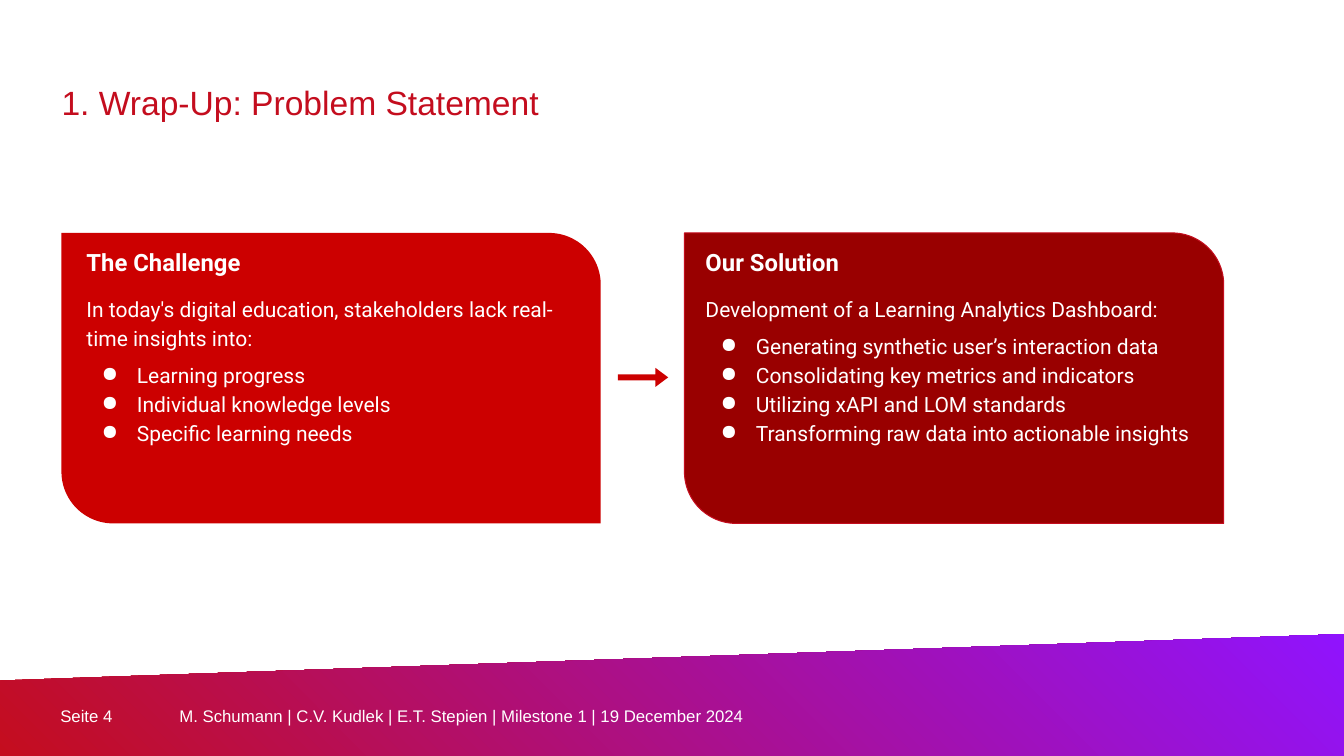
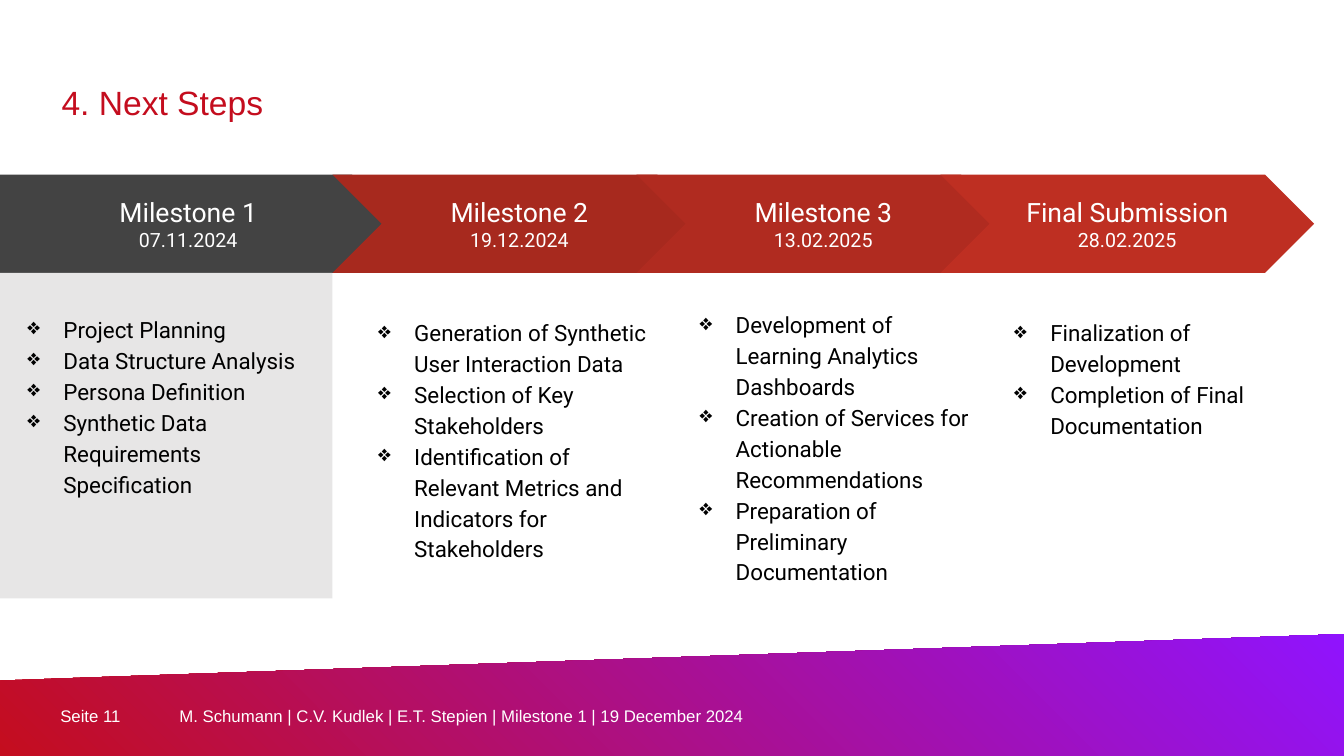
from lxml import etree
from pptx import Presentation
from pptx.dml.color import RGBColor
from pptx.enum.shapes import MSO_SHAPE
from pptx.enum.text import MSO_ANCHOR, MSO_AUTO_SIZE, PP_ALIGN
from pptx.oxml.ns import qn
from pptx.util import Cm, Pt

TOP, MIDDLE, BOTTOM = MSO_ANCHOR.TOP, MSO_ANCHOR.MIDDLE, MSO_ANCHOR.BOTTOM
LEFT, CENTER = PP_ALIGN.LEFT, PP_ALIGN.CENTER
NO_AUTOSIZE = MSO_AUTO_SIZE.NONE
RECTANGLE, ARROW = MSO_SHAPE.RECTANGLE, MSO_SHAPE.RIGHT_ARROW
CARD = MSO_SHAPE.ROUND_2_DIAG_RECTANGLE
PENTAGON, CHEVRON = MSO_SHAPE.PENTAGON, MSO_SHAPE.CHEVRON

COLORS = {
    "white": "FFFFFF", "black": "000000", "title": "C40D1E", "violet": "9013FE",
    "challenge": "CC0000", "solution": "990000", "done": "434343", "panel": "E7E6E6",
    "next": "A7291E", "later": "B02B20", "final": "BE2F22",
}
HEADING_FONT, BODY_FONT = "Arial", "Roboto"
SLIDE_WIDTH, SLIDE_HEIGHT = 33.87, 19.05
TITLE_ONLY = 5
INSET = 0.33
FOOTER = "M. Schumann | C.V. Kudlek | E.T. Stepien | Milestone 1 | 19 December 2024"

CARDS = [
    {"left": 1.55, "indent": 0.3, "fill": "challenge", "line": None,
     "heading": "The Challenge",
     "intro": "In today's digital education, stakeholders lack real-time insights into:",
     "items": ["Learning progress", "Individual knowledge levels", "Specific learning needs"]},
    {"left": 17.25, "indent": 0.2, "fill": "solution", "line": "title",
     "heading": "Our Solution",
     "intro": "Development of a Learning Analytics Dashboard:",
     "items": ["Generating synthetic user’s interaction data",
               "Consolidating key metrics and indicators",
               "Utilizing xAPI and LOM standards",
               "Transforming raw data into actionable insights"]},
]

MILESTONES = [
    {"name": "Milestone 2", "date": "19.12.2024", "fill": "next", "list": (8.84, 7.62, 8.05),
     "tasks": ["Generation of Synthetic User Interaction Data",
               "Selection of Key Stakeholders",
               "Identification of Relevant Metrics and Indicators for Stakeholders"]},
    {"name": "Milestone 3", "date": "13.02.2025", "fill": "later", "list": (16.94, 7.42, 7.98),
     "tasks": ["Development of Learning Analytics Dashboards",
               "Creation of Services for Actionable Recommendations",
               "Preparation of Preliminary Documentation"]},
    {"name": "Final Submission", "date": "28.02.2025", "fill": "final", "list": (24.87, 7.62, 7.06),
     "tasks": ["Finalization of Development", "Completion of Final Documentation"]},
]
FIRST_TASKS = ["Project Planning", "Data Structure Analysis", "Persona Definition",
               "Synthetic Data Requirements Specification"]


def rgb(name):
    """Return the named palette colour."""
    return RGBColor.from_string(COLORS[name])


def lengths(box):
    """Convert a box in centimetres to slide lengths."""
    return [Cm(value) for value in box]


def prepare_frame(shape, inset=INSET, anchor=TOP):
    """Set the wrapping, margins and anchor of a shape's text frame."""
    frame = shape.text_frame
    frame.word_wrap = True
    frame.auto_size = NO_AUTOSIZE
    frame.vertical_anchor = anchor
    frame.margin_left = frame.margin_right = Cm(inset)
    frame.margin_top = frame.margin_bottom = Cm(inset)
    return frame


def add_paragraph(frame, text, size, color, font=BODY_FONT, bold=False,
                  align=LEFT, spacing=1.0, before=0):
    """Write one paragraph, using the empty first one when it is free."""
    first = frame.paragraphs[0]
    paragraph = frame.add_paragraph() if first.runs else first
    paragraph.alignment = align
    paragraph.line_spacing = spacing
    paragraph.space_before = Pt(before)
    run = paragraph.add_run()
    run.text = text
    run.font.name = font
    run.font.size = Pt(size)
    run.font.bold = bold
    run.font.color.rgb = rgb(color)
    return paragraph


def add_bullets(frame, items, symbol, size, color, hanging, before=0):
    """Write a bulleted list with a hanging indent."""
    for index, item in enumerate(items):
        paragraph = add_paragraph(frame, item, size, color, spacing=1.15,
                                  before=0 if index else before)
        properties = paragraph._p.get_or_add_pPr()
        properties.set("marL", str(Cm(1.27)))
        properties.set("indent", str(-Cm(hanging)))
        bullet_color = etree.SubElement(properties, qn("a:buClr"))
        etree.SubElement(bullet_color, qn("a:srgbClr"), val=COLORS[color])
        etree.SubElement(properties, qn("a:buChar"), char=symbol)


def add_text_box(slide, box, inset=INSET, anchor=TOP):
    """Add a text box and return its frame."""
    return prepare_frame(slide.shapes.add_textbox(*lengths(box)), inset, anchor)


def add_filled_shape(slide, kind, box, fill, line=None, adjustments=()):
    """Add a flat preset shape."""
    shape = slide.shapes.add_shape(kind, *lengths(box))
    shape.shadow.inherit = False
    shape.fill.solid()
    shape.fill.fore_color.rgb = rgb(fill)
    if line:
        shape.line.color.rgb = rgb(line)
        shape.line.width = Pt(0.75)
    else:
        shape.line.fill.background()
    for index, value in enumerate(adjustments):
        shape.adjustments[index] = value
    return shape


def add_footer(slide, number):
    """Draw the slanted gradient band with page number and credits."""
    builder = slide.shapes.build_freeform(Cm(0), Cm(17.15))
    corners = [(SLIDE_WIDTH, 15.98), (SLIDE_WIDTH, SLIDE_HEIGHT), (0, SLIDE_HEIGHT)]
    builder.add_line_segments([lengths(corner) for corner in corners], close=True)
    band = builder.convert_to_shape()
    band.shadow.inherit = False
    band.line.fill.background()
    band.fill.gradient()
    band.fill.gradient_angle = 45
    for stop, color, position in zip(band.fill.gradient_stops, ("title", "violet"), (0, 1)):
        stop.color.rgb = rgb(color)
        stop.position = position
    for left, width, text in ((1.52, 3, f"Seite {number}"), (4.52, 21.16, FOOTER)):
        frame = add_text_box(slide, (left, 17.78, width, 0.53), 0, MIDDLE)
        add_paragraph(frame, text, 12, "white", HEADING_FONT)


def add_titled_slide(presentation, title, number):
    """Add a slide with the shared title style and footer."""
    slide = presentation.slides.add_slide(presentation.slide_layouts[TITLE_ONLY])
    add_footer(slide, number)
    placeholder = slide.shapes.title
    placeholder.left, placeholder.top, placeholder.width, placeholder.height = lengths(
        (1.55, 1.09, 23.09, 1.98))
    frame = prepare_frame(placeholder, 0, BOTTOM)
    add_paragraph(frame, title, 24, "title", HEADING_FONT, spacing=1.17)
    return slide


def add_card(slide, box, card):
    """Draw a card with heading, introduction and bullets."""
    left, top, width, height = box
    add_filled_shape(slide, CARD, box, card["fill"], card["line"], (0, 0.178))
    text_left = left + card["indent"]
    text_width = width - 2 * card["indent"]
    heading = add_text_box(slide, (text_left, top + 0.05, text_width, 1.22))
    add_paragraph(heading, card["heading"], 17, "white", bold=True)
    body = add_text_box(slide, (text_left, top + 1.18, text_width, height - 1.3))
    add_paragraph(body, card["intro"], 15, "white", spacing=1.15)
    add_bullets(body, card["items"], "●", 15, "white", 0.89, before=6)


def add_step(slide, kind, box, name, date, fill):
    """Draw one arrow of the timeline with its name and date."""
    shape = add_filled_shape(slide, kind, box, fill, adjustments=(0.5,))
    frame = prepare_frame(shape, anchor=MIDDLE)
    add_paragraph(frame, name, 19, "white", align=CENTER)
    add_paragraph(frame, date, 14, "white", align=CENTER)


def add_tasks(frame, tasks):
    """Write the tasks of a milestone."""
    add_bullets(frame, tasks, "❖", 16, "black", 0.91)


def add_timeline(slide, box):
    """Draw the timeline arrows and the task columns below them."""
    left, top, first_width, height = box
    step, chevron_width, list_height = 7.66, 9.42, 8.2
    add_step(slide, PENTAGON, (left, top, 10.11, height), "Milestone 1", "07.11.2024", "done")
    panel = add_filled_shape(slide, RECTANGLE,
                             (left, top + height, first_width, list_height), "panel")
    frame = prepare_frame(panel)
    frame.margin_top = Cm(0.99)
    add_tasks(frame, FIRST_TASKS)
    for index, milestone in enumerate(MILESTONES):
        chevron_box = (left + first_width + index * step, top, chevron_width, height)
        add_step(slide, CHEVRON, chevron_box, milestone["name"], milestone["date"],
                 milestone["fill"])
        add_tasks(add_text_box(slide, (*milestone["list"], list_height)), milestone["tasks"])


def build_problem_slide(presentation):
    """Build the problem statement slide."""
    slide = add_titled_slide(presentation, "1. Wrap-Up: Problem Statement", 4)
    for card in CARDS:
        add_card(slide, (card["left"], 5.87, 13.59, 7.32), card)
    add_filled_shape(slide, ARROW, (15.57, 9.27, 1.27, 0.48), "challenge",
                     adjustments=(0.32, 0.67))


def build_next_steps_slide(presentation):
    """Build the next steps slide."""
    slide = add_titled_slide(presentation, "4. Next Steps", 11)
    add_timeline(slide, (0, 4.4, 8.38, 2.48))


def main():
    """Build and save the presentation."""
    presentation = Presentation()
    presentation.slide_width = Cm(SLIDE_WIDTH)
    presentation.slide_height = Cm(SLIDE_HEIGHT)
    build_problem_slide(presentation)
    build_next_steps_slide(presentation)
    presentation.save("out.pptx")


if __name__ == "__main__":
    main()
